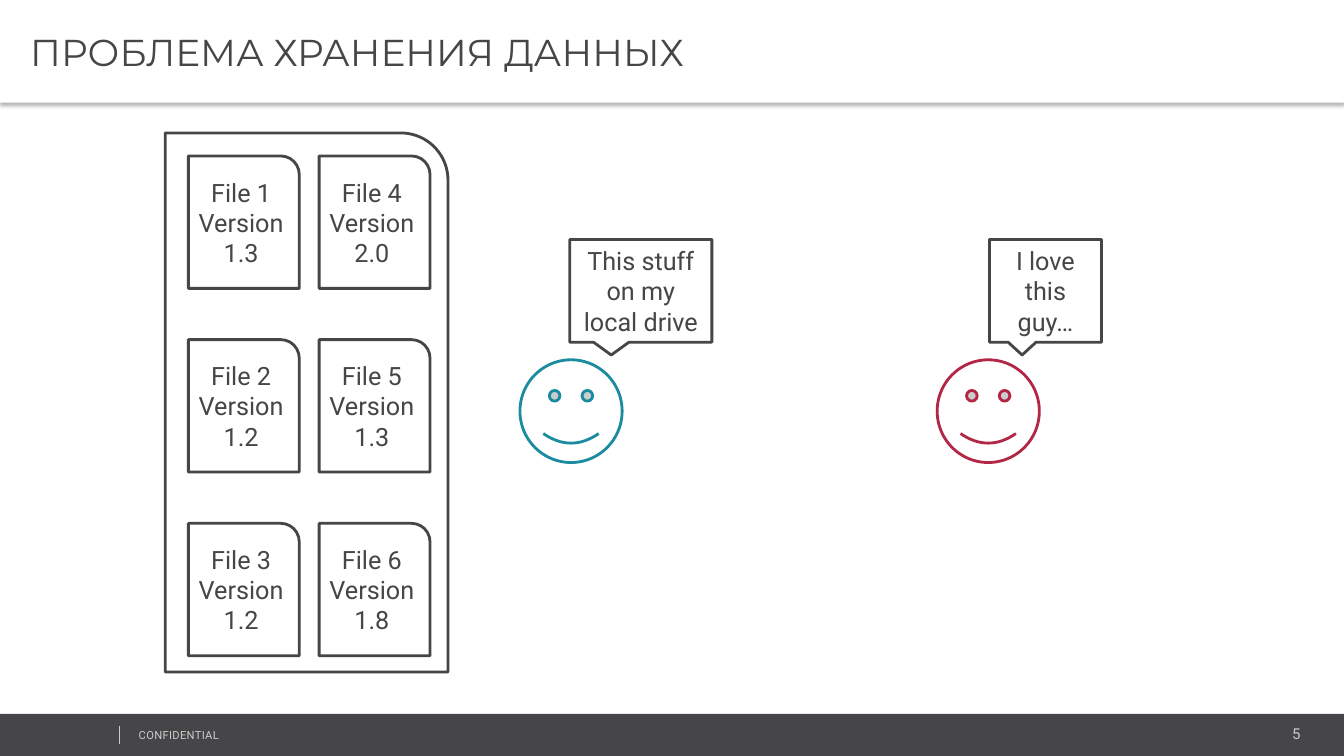
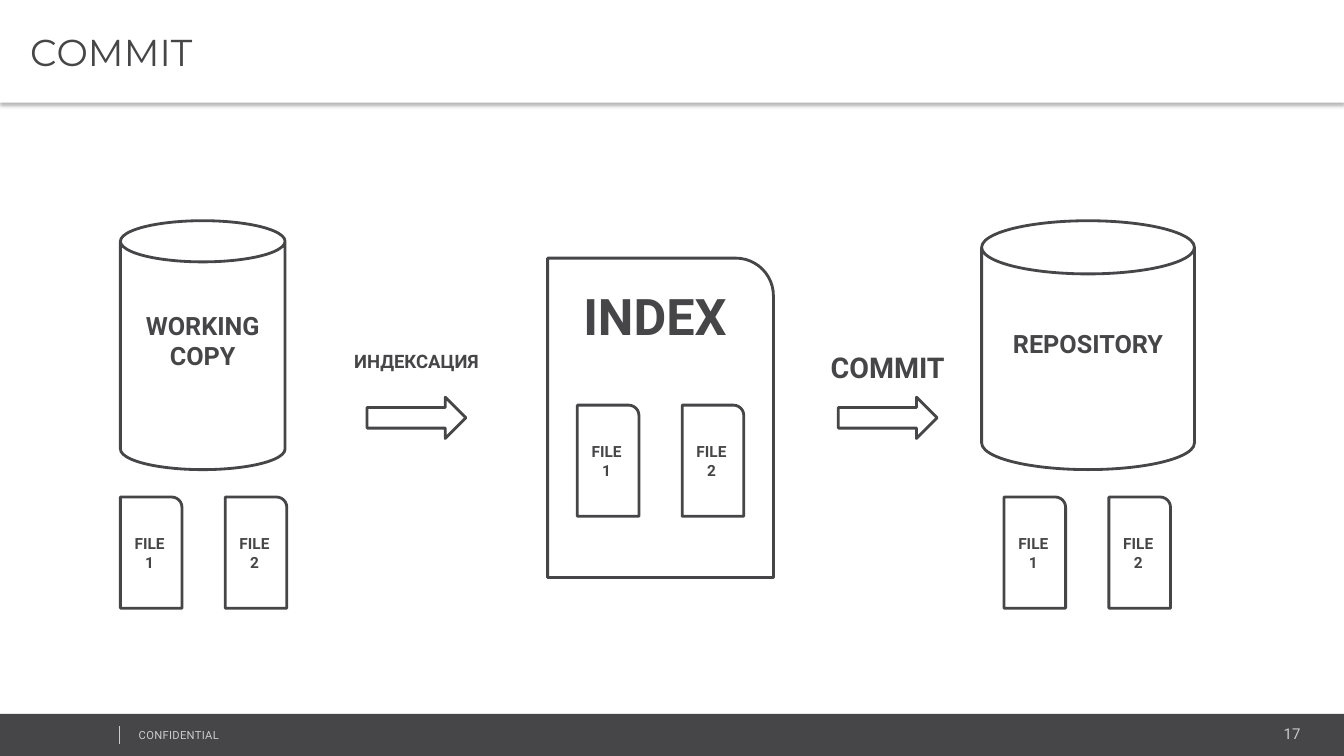
from lxml import etree
from pptx import Presentation
from pptx.dml.color import RGBColor
from pptx.enum import shapes, text
from pptx.oxml.ns import qn
from pptx.util import Pt

SHAPE = shapes.MSO_SHAPE
ALIGN = text.PP_ALIGN
ANCHOR = text.MSO_ANCHOR

WIDTH, HEIGHT = 960, 540
DARK, WHITE, GREY = "464547", "FFFFFF", "CCCCCC"
TEAL, RED = "1B8BA0", "B22746"


def rgb(value):
    return RGBColor.from_string(value)


class Deck:
    """Holds the shared style and the current slide; lengths are in points."""

    title_font, body_font = "Montserrat", "Roboto"
    insets = (7.2, 3.6, 7.2, 3.6)

    def __init__(self):
        self.prs = Presentation()
        self.prs.slide_width, self.prs.slide_height = Pt(WIDTH), Pt(HEIGHT)
        self.slide = None

    def new_slide(self, title, number):
        self.slide = self.prs.slides.add_slide(self.prs.slide_layouts[6])
        self.footer(number)
        self.title(title)

    # Shared parts
    def footer(self, number):
        self.shape(SHAPE.RECTANGLE, 0, 510, WIDTH, 30, fill=DARK, line=None)
        self.label(number, 779, 514, 157, 20, size=10.7, color=GREY,
                   align=ALIGN.RIGHT)
        sp = self.label("CONFIDENTIAL", 92, 517, 243, 17, size=8, color=GREY,
                        align=ALIGN.LEFT)
        pPr = sp.text_frame.paragraphs[0]._p.pPr
        pPr.find(qn("a:defRPr")).set("spc", "20")
        self.rule(85.4, 518.4, 531.4)

    def title(self, words):
        sp = self.shape(SHAPE.RECTANGLE, 0, 0, WIDTH, 73.4, line=None)
        effects = sp._element.spPr.find(qn("a:effectLst"))
        shadow = etree.SubElement(
            effects, qn("a:outerShdw"), blurRad=str(Pt(3.1)), dist=str(Pt(2)),
            dir="5400000", algn="t", rotWithShape="0")
        color = etree.SubElement(shadow, qn("a:srgbClr"), val="000000")
        etree.SubElement(color, qn("a:alpha"), val="30000")
        self.set_text(sp, words, 26.7, align=ALIGN.LEFT, font=self.title_font,
                      insets=(21.6, 2.9, 5, 2.9))

    def rule(self, x, top, bottom):
        line = self.slide.shapes.add_connector(
            shapes.MSO_CONNECTOR.STRAIGHT, Pt(x), Pt(top), Pt(x), Pt(bottom))
        line.line.color.rgb = rgb(GREY)
        line.line.width = Pt(0.25)
        etree.SubElement(line._element.spPr, qn("a:effectLst"))

    # Basic elements
    def shape(self, kind, x, y, w, h, fill=WHITE, line=DARK):
        sp = self.slide.shapes.add_shape(kind, Pt(x), Pt(y), Pt(w), Pt(h))
        sp.shadow.inherit = False
        if fill:
            sp.fill.solid()
            sp.fill.fore_color.rgb = rgb(fill)
        else:
            sp.fill.background()
        if line:
            sp.line.color.rgb = rgb(line)
            sp.line.width = Pt(2)
        else:
            sp.line.fill.background()
        return sp

    def set_text(self, sp, words, size, bold=False, color=DARK,
                 align=ALIGN.CENTER, anchor=ANCHOR.MIDDLE, font=body_font,
                 insets=insets, before=0):
        tf = sp.text_frame
        tf.word_wrap = True
        tf.vertical_anchor = anchor
        (tf.margin_left, tf.margin_top,
         tf.margin_right, tf.margin_bottom) = map(Pt, insets)
        tf.text = words
        for p in tf.paragraphs:
            p.alignment = align
            p.space_before = Pt(before)
            p.font.name, p.font.size, p.font.bold = font, Pt(size), bold
            p.font.color.rgb = rgb(color)

    def label(self, words, x, y, w, h, **style):
        sp = self.slide.shapes.add_textbox(Pt(x), Pt(y), Pt(w), Pt(h))
        self.set_text(sp, words, anchor=ANCHOR.TOP, **style)
        return sp

    # Diagram elements
    def file(self, words, x, y, w, h, size, bold=False):
        sp = self.shape(SHAPE.ROUND_1_RECTANGLE, x, y, w, h)
        self.set_text(sp, words, size, bold)

    def file_pair(self, x, y):
        for i in range(2):
            self.file(f"FILE {i + 1}", x + 74.9 * i, y, 44, 79.4, 11, True)

    def person(self, x, color, words, callout_x, callout_w):
        self.shape(SHAPE.SMILEY_FACE, x, 257, 73, 73.4, line=color)
        sp = self.shape(SHAPE.RECTANGULAR_CALLOUT, callout_x, 171, callout_w, 73.4)
        self.set_text(sp, words, 18)

    def store(self, words, x, w):
        sp = self.shape(SHAPE.CAN, x, 157.7, w, 177.8)
        self.set_text(sp, words, 18, True, insets=(7.2, 3.6, 7.2, 25))

    def step(self, words, x, size):
        self.shape(SHAPE.RIGHT_ARROW, x, 283.7, 70.6, 29.5)
        self.label(words, x - 17, 247, 104.4, 29.5, size=size, bold=True,
                   insets=(5, 2.9, 5, 2.9), before=6)


def storage_slide(deck):
    deck.new_slide("ПРОБЛЕМА ХРАНЕНИЯ ДАННЫХ", "5")

    # Local drive with its files, filled column by column
    deck.shape(SHAPE.ROUND_1_RECTANGLE, 118, 95, 202, 385, fill=None)
    versions = ["1.3", "1.2", "1.2", "2.0", "1.3", "1.8"]
    for i, version in enumerate(versions):
        col, row = divmod(i, 3)
        deck.file(f"File {i + 1}\nVersion {version}", 134.6 + 93.4 * col,
                  111.4 + 131.2 * row, 79.2, 94.6, 18)

    # People
    deck.person(371.4, TEAL, "This stuff on my local drive", 407, 101.5)
    deck.person(669.4, RED, "I love this guy…", 706.8, 80)


def commit_slide(deck):
    deck.new_slide("COMMIT", "17")

    # Index
    sp = deck.shape(SHAPE.ROUND_1_RECTANGLE, 391.2, 184.4, 161.3, 228.2)
    deck.set_text(sp, "INDEX", 36, True, anchor=ANCHOR.TOP,
                  insets=(7.2, 19.5, 7.2, 3.6))
    deck.file_pair(412.4, 289.4)

    # Working copy and repository
    deck.store("WORKING COPY", 86, 117.6)
    deck.file_pair(86, 355)
    deck.store("REPOSITORY", 701.2, 152)
    deck.file_pair(717.2, 355)

    # Steps between them
    deck.step("ИНДЕКСАЦИЯ", 262.2, 13.2)
    deck.step("COMMIT", 598.8, 20.4)


def main():
    deck = Deck()
    storage_slide(deck)
    commit_slide(deck)
    deck.prs.save("out.pptx")


if __name__ == "__main__":
    main()
